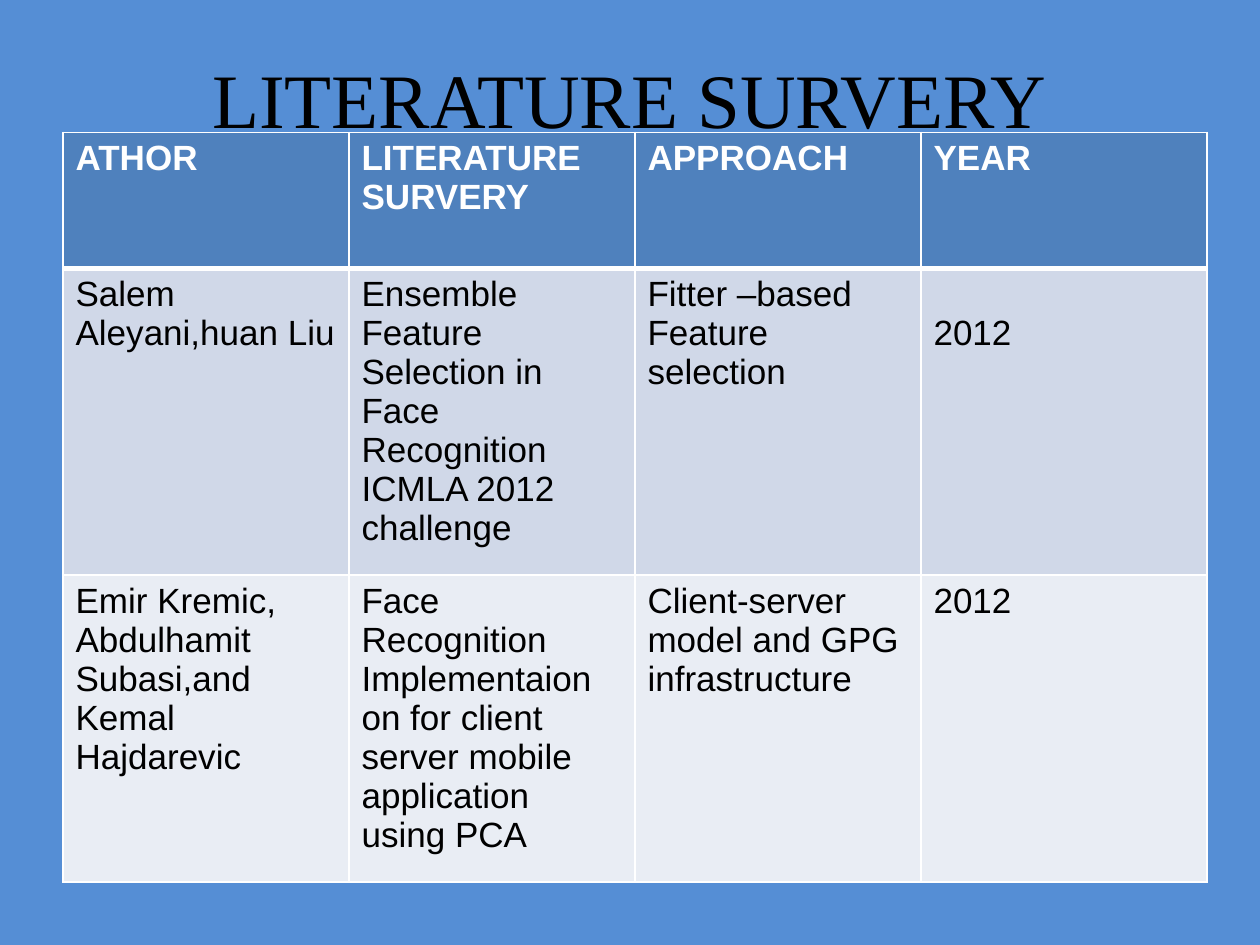
from lxml import etree
from pptx import Presentation
from pptx.dml.color import RGBColor
from pptx.enum.text import MSO_ANCHOR, PP_ALIGN
from pptx.oxml.ns import qn
from pptx.util import Inches, Pt

CENTER = PP_ALIGN.CENTER
TOP = MSO_ANCHOR.TOP

TITLE = "LITERATURE SURVERY"
# One list per table row; a line break in a cell starts a new paragraph.
ROWS = [
    ["ATHOR", "LITERATURE SURVERY", "APPROACH", "YEAR"],
    ["Salem\nAleyani,huan Liu",
     "Ensemble\nFeature\nSelection in\nFace\nRecognition\nICMLA 2012\nchallenge",
     "Fitter –based\nFeature\nselection",
     "2012"],
    ["Emir Kremic, Abdulhamit Subasi,and Kemal Hajdarevic",
     "Face Recognition Implementaion on for client server mobile application using PCA",
     "Client-server model and GPG infrastructure",
     "2012"],
]
ROW_HEIGHTS = [1.08, 2.32, 1.68]
ROW_FILLS = ["4F81BD", "D0D8E8", "E9EDF4"]
COLUMN_WIDTH = 2.27
LOWERED_CELL, LOWERED_MARGIN = (1, 3), 0.36
BACKGROUND, BLACK, WHITE = "558ED5", "000000", "FFFFFF"


def color(value):
    return RGBColor.from_string(value)


def format_text(frame, font_color, **font_format):
    for para in frame.paragraphs:
        for span in para.runs:
            span.font.color.rgb = color(font_color)
            for name, value in font_format.items():
                setattr(span.font, name, value)


def add_borders(cell, widths):
    """Draw white cell borders; widths maps each side's tag to points."""
    properties = cell._tc.get_or_add_tcPr()
    for position, (side, width) in enumerate(widths.items()):
        line = etree.Element(qn(f"a:{side}"), w=str(Pt(width)))
        fill = etree.SubElement(line, qn("a:solidFill"))
        etree.SubElement(fill, qn("a:srgbClr"), val=WHITE)
        properties.insert(position, line)


def add_title(slide):
    box = slide.shapes.add_textbox(Inches(0.5), Inches(0.3), Inches(9), Inches(1.25))
    frame = box.text_frame
    settings = {"word_wrap": True, "vertical_anchor": TOP,
                "margin_top": Inches(0.11), "text": TITLE}
    for name, value in settings.items():
        setattr(frame, name, value)
    frame.paragraphs[0].alignment = CENTER
    format_text(frame, BLACK, size=Pt(44), name="Times New Roman")


def add_survey_table(slide):
    column_count = len(ROWS[0])
    table = slide.shapes.add_table(
        len(ROWS), column_count, Inches(0.5), Inches(1.05),
        Inches(COLUMN_WIDTH * column_count), Inches(sum(ROW_HEIGHTS))).table
    for column in table.columns:
        column.width = Inches(COLUMN_WIDTH)
    for row_index, texts in enumerate(ROWS):
        table.rows[row_index].height = Inches(ROW_HEIGHTS[row_index])
        is_header = row_index == 0
        for column_index, text in enumerate(texts):
            cell = table.cell(row_index, column_index)
            cell.text = text
            cell.fill.solid()
            cell.fill.fore_color.rgb = color(ROW_FILLS[row_index])
            format_text(cell.text_frame, WHITE if is_header else BLACK,
                        size=Pt(20), name="Arial", bold=is_header)
            add_borders(cell, {"lnL": 1, "lnR": 1,
                               "lnT": 3 if row_index == 1 else 1,
                               "lnB": 3 if is_header else 1})
    table.cell(*LOWERED_CELL).margin_top = Inches(LOWERED_MARGIN)


def main():
    deck = Presentation()
    deck.slide_width, deck.slide_height = Inches(10), Inches(7.5)
    slide = deck.slides.add_slide(deck.slide_layouts[6])
    slide.background.fill.solid()
    slide.background.fill.fore_color.rgb = color(BACKGROUND)
    add_title(slide)
    add_survey_table(slide)
    deck.save("out.pptx")


if __name__ == "__main__":
    main()
